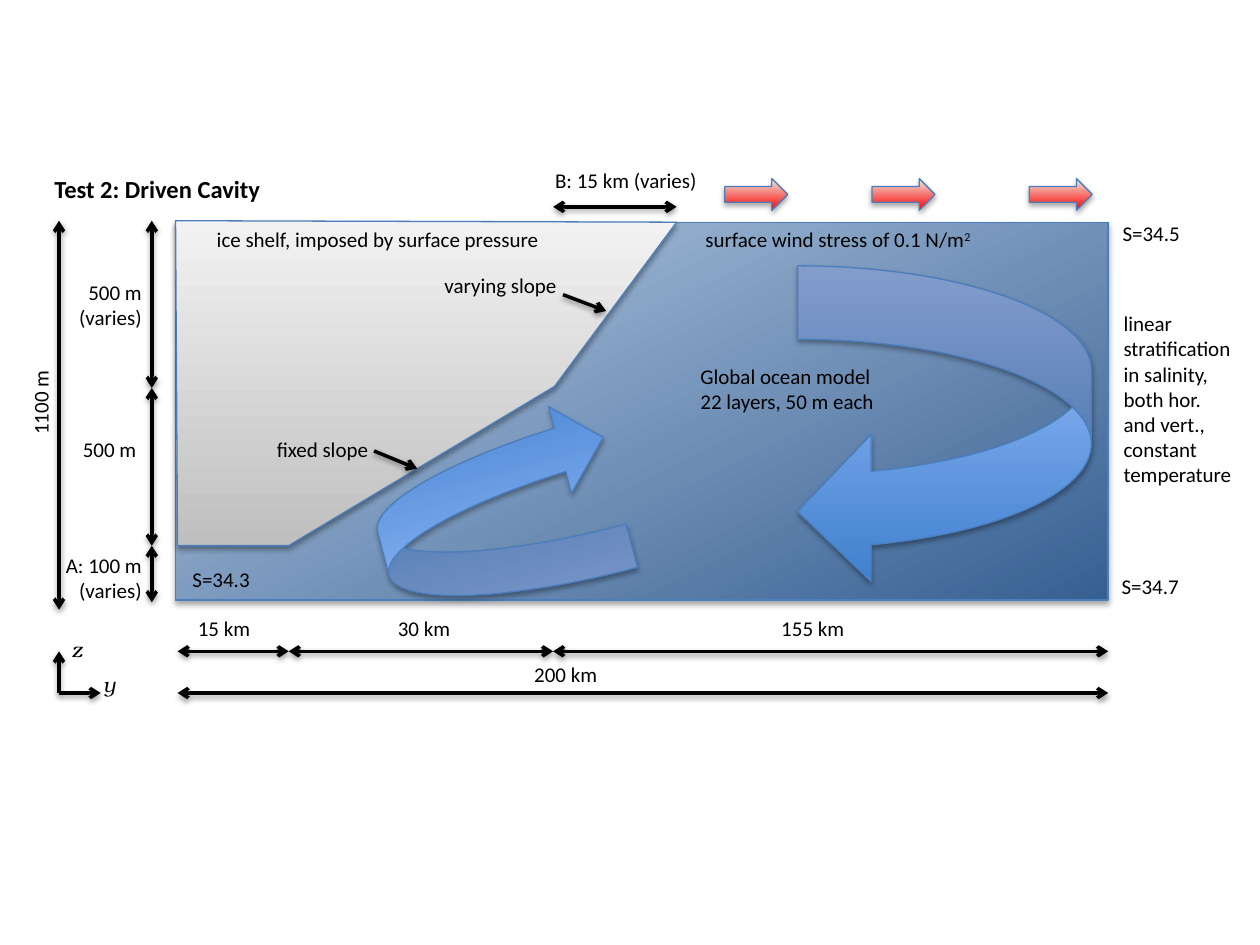
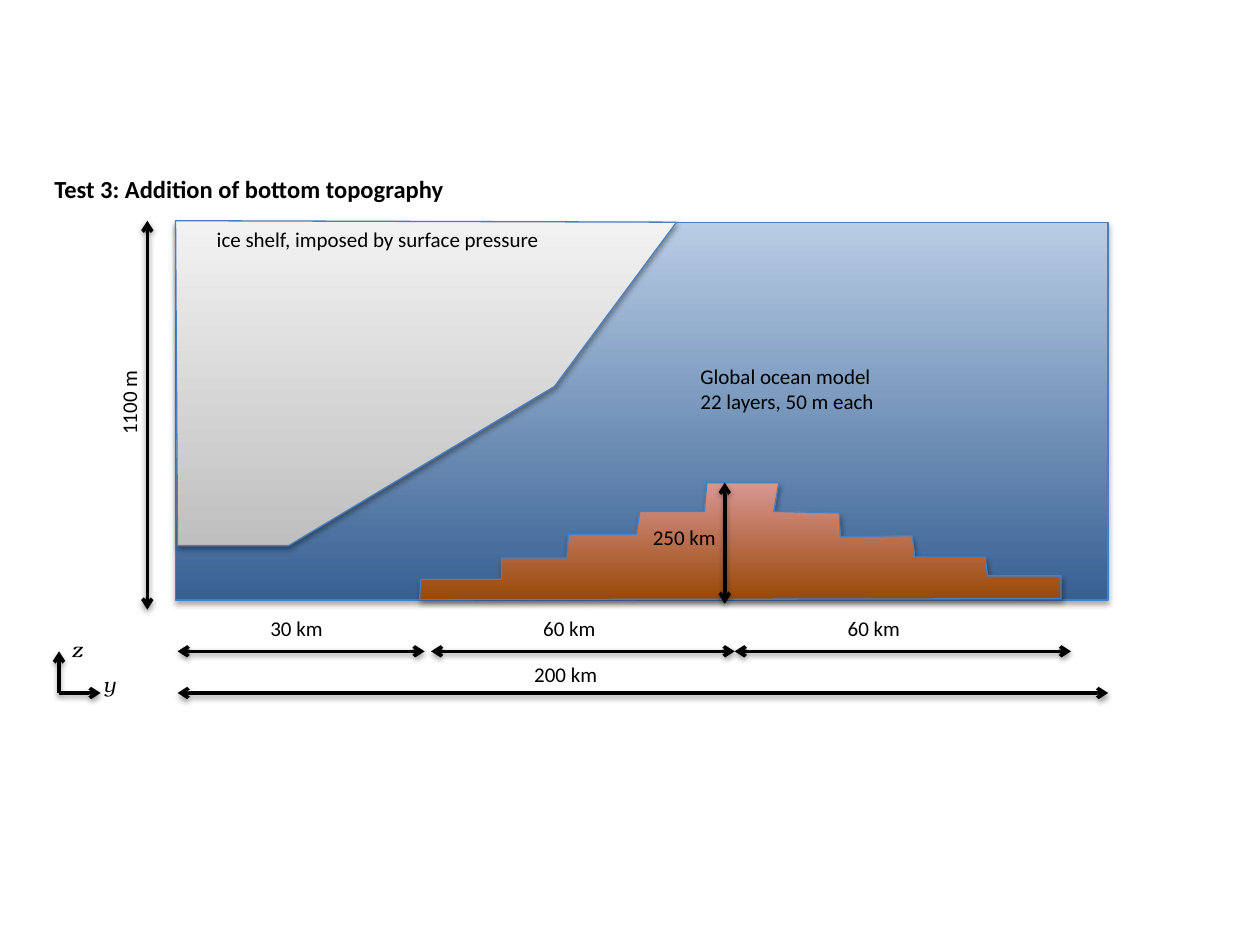
from lxml import etree
from pptx import Presentation
from pptx.dml.color import RGBColor
from pptx.enum.shapes import MSO_CONNECTOR, MSO_SHAPE
from pptx.enum.text import MSO_ANCHOR, MSO_AUTO_SIZE, PP_ALIGN
from pptx.oxml.ns import qn
from pptx.util import Cm, Pt

COLORS = {
    "ink": "000000", "outline": "4B7EBC",
    "deep": "376092", "shallow": "B9CDE5",
    "ice_low": "BFBFBF", "ice_high": "F2F2F2",
    "wind": "FF0000", "wind_light": "EEECE1",
    "flow": "3F80CE", "flow_light": "A4C4FF",
    "rock": "984807", "rock_light": "D99694",
}
FONT, MATH_FONT = "Calibri", "TeX Gyre Bonum"
LEFT, RIGHT = PP_ALIGN.LEFT, PP_ALIGN.RIGHT

# Section geometry in cm
X0, X1, TOP, BOTTOM = 3.54, 22.34, 4.48, 12.1
SPAN_Y, TOTAL_Y, AXIS_X = 13.13, 13.97, 1.19
NARROW = 3.45  # labels up to this width do not wrap

ICE = [(X0, 4.45), (3.58, 11), (5.82, 11), (11.18, 7.79), (13.64, TOP)]
ROCK = [(8.46, 12.09), (8.48, 11.68), (10.11, 11.68), (10.11, 11.25),
        (11.43, 11.25), (11.46, 10.77), (12.83, 10.77), (12.9, 10.31),
        (14.2, 10.31), (14.25, 9.73), (15.7, 9.73), (15.6, 10.31),
        (16.92, 10.34), (16.94, 10.82), (18.39, 10.8), (18.44, 11.23),
        (19.86, 11.23), (19.91, 11.61), (21.39, 11.61), (21.39, 12.07)]

# Arrows: x1, y1, x2, y2, double-headed
AXES = [(AXIS_X, TOTAL_Y, AXIS_X, SPAN_Y, False),
        (AXIS_X, TOTAL_Y, 2.03, TOTAL_Y, False)]
TOTAL = (3.58, TOTAL_Y, X1, TOTAL_Y, True)

# Labels: text, x, y, width, alignment
SHARED_LABELS = [
    ("200 km", 10.52, 13.21, 1.8, LEFT),
    ("ice shelf, imposed by surface pressure", 4.12, 4.45, 8.71, LEFT),
    ("Global ocean model\n22 layers, 50 m each", 13.87, 7.2, 4.9, LEFT),
    ("y", 1.83, 13.41, 0.89, LEFT),
    ("z", 1.19, 12.7, 0.84, LEFT),
]

# Slide contents; shapes: kind, x, y, width, height, dark, light, rotation
tests = [
    {
        "title": "Test 2: Driven Cavity",
        "ocean_angle": 116,
        "height_x": AXIS_X,
        "outlines": [],
        "shapes": [(MSO_SHAPE.RIGHT_ARROW, x, 3.6, 1.27, 0.64,
                    "wind", "wind_light", 0) for x in (14.61, 17.58, 20.75)] + [
            (MSO_SHAPE.CURVED_LEFT_ARROW, 16.08, 5.36, 5.92, 6.43,
             "flow", "flow_light", 0),
            (MSO_SHAPE.CURVED_RIGHT_ARROW, 7.59, 8.51, 4.88, 3.61,
             "flow", "flow_light", 345.2),
        ],
        "spans": [(3.58, 5.82), (5.82, 11.15), (11.15, X1)],
        "arrows": [
            (3.06, 12.14, 3.06, 11, True), (3.06, 11, 3.06, 7.82, True),
            (3.06, 7.82, 3.06, 4.45, True), (11.15, 4.17, 13.64, 4.17, True),
            (7.54, 9.09, 8.41, 9.45, False), (11.35, 5.94, 12.22, 6.27, False),
        ],
        "labels": [
            ("15 km", 3.74, 12.28, 1.57, LEFT),
            ("30 km", 7.77, 12.28, 1.57, LEFT),
            ("155 km", 15.5, 12.28, 1.8, LEFT),
            ("A: 100 m\n(varies)", 1.03, 11.01, 2.08, RIGHT),
            ("500 m", 1.42, 8.68, 1.6, LEFT),
            ("500 m\n(varies)", 1.31, 5.51, 1.8, RIGHT),
            ("linear\nstratification\nin salinity,\nboth hor.\nand vert.,\n"
             "constant\ntemperature", 22.4, 6.14, 2.74, LEFT),
            ("S=34.5", 22.38, 4.32, 1.68, LEFT),
            ("S=34.7", 22.36, 11.43, 1.68, LEFT),
            ("S=34.3", 3.63, 11.3, 1.68, LEFT),
            ("fixed slope", 5.33, 8.67, 3.51, LEFT),
            ("varying slope", 8.71, 5.36, 3.51, LEFT),
            ("B: 15 km (varies)", 10.94, 3.25, 3.4, LEFT),
            ("surface wind stress of 0.1 N/m^2", 13.97, 4.45, 8.71, LEFT),
        ],
    },
    {
        "title": "Test 3: Addition of bottom topography",
        "ocean_angle": 90,
        "height_x": 2.97,
        "outlines": [(ROCK, "rock", "rock_light")],
        "shapes": [],
        "spans": [(3.58, 8.56), (8.69, 14.81), (14.81, 21.59)],
        "arrows": [(14.61, 12.17, 14.61, 9.73, True)],
        "labels": [
            ("30 km", 5.2, 12.28, 1.57, LEFT),
            ("60 km", 10.7, 12.28, 1.57, LEFT),
            ("60 km", 16.84, 12.28, 1.57, LEFT),
            ("250 km", 12.91, 10.44, 1.8, LEFT),
        ],
    },
]


def rgb(name):
    return RGBColor.from_string(COLORS[name])


def paint(shape, dark, light, angle=90):
    """Gradient from dark (below) to light; the theme's soft shadow stays."""
    shape.fill.gradient()
    shape.fill.gradient_angle = angle
    for stop, name in zip(shape.fill.gradient_stops, (dark, light)):
        stop.color.rgb = rgb(name)
    shape.line.color.rgb = rgb("outline")
    shape.line.width = Pt(0.75)


prs = Presentation()
prs.slide_width, prs.slide_height = Cm(25.4), Cm(19.05)

for test in tests:
    s = prs.slides.add_slide(prs.slide_layouts[5])

    # Title
    title = s.shapes.title
    title.left, title.top, title.width, title.height = (
        Cm(0.84), Cm(3.38), Cm(8.71), Cm(0.86))
    tf = title.text_frame
    tf.text = test["title"]
    tf.vertical_anchor = MSO_ANCHOR.TOP
    tf.auto_size = MSO_AUTO_SIZE.NONE
    p = tf.paragraphs[0]
    p.alignment = LEFT
    p.font.name, p.font.size, p.font.bold = FONT, Pt(14), True
    p.font.color.rgb = rgb("ink")

    # Ocean
    ocean = s.shapes.add_shape(MSO_SHAPE.RECTANGLE, Cm(X0), Cm(TOP),
                               Cm(X1 - X0), Cm(BOTTOM - TOP))
    paint(ocean, "deep", "shallow", test["ocean_angle"])

    # Ice shelf and sea floor
    for points, dark, light in [(ICE, "ice_low", "ice_high")] + test["outlines"]:
        points = [(Cm(x), Cm(y)) for x, y in points]
        builder = s.shapes.build_freeform(*points[0])
        builder.add_line_segments(points[1:], close=True)
        paint(builder.convert_to_shape(), dark, light)

    # Wind and circulation
    for kind, x, y, w, h, dark, light, rotation in test["shapes"]:
        sp = s.shapes.add_shape(kind, Cm(x), Cm(y), Cm(w), Cm(h))
        paint(sp, dark, light)
        sp.rotation = rotation
        if kind == MSO_SHAPE.CURVED_RIGHT_ARROW:
            sp._element.spPr.xfrm.set("flipV", "1")

    # Dimension arrows, pointers and axes
    height = (test["height_x"], 12.29, test["height_x"], 4.45, True)
    spans = [(a, SPAN_Y, b, SPAN_Y, True) for a, b in test["spans"]]
    for x1, y1, x2, y2, double in spans + test["arrows"] + [height, TOTAL] + AXES:
        line = s.shapes.add_connector(MSO_CONNECTOR.STRAIGHT,
                                      Cm(x1), Cm(y1), Cm(x2), Cm(y2))
        line.line.color.rgb = rgb("ink")
        line.line.width = Pt(2)
        ln = line._element.spPr.find(qn("a:ln"))
        for end in ("a:headEnd", "a:tailEnd") if double else ("a:tailEnd",):
            etree.SubElement(ln, qn(end), type="arrow")

    # Labels
    depth = ("1100 m", test["height_x"] - 1.29, 7.72, 1.83, LEFT)
    for text, x, y, w, align in SHARED_LABELS + test["labels"] + [depth]:
        lines = text.split("\n")
        box = s.shapes.add_textbox(Cm(x), Cm(y), Cm(w),
                                   Cm(0.25 + 0.51 * len(lines)))
        if text == "1100 m":
            box.rotation = 270
        tf = box.text_frame
        tf.word_wrap = w > NARROW
        tf.auto_size = MSO_AUTO_SIZE.SHAPE_TO_FIT_TEXT
        for i, content in enumerate(lines):
            p = tf.add_paragraph() if i else tf.paragraphs[0]
            p.alignment = align
            base, _, power = content.partition("^")
            p.add_run().text = base
            if power:
                r = p.add_run()
                r.text = power
                r.font._element.set("baseline", "30000")
            p.font.name, p.font.size = FONT, Pt(12)
            p.font.color.rgb = rgb("ink")
            if text in ("y", "z"):
                p.font.name, p.font.italic = MATH_FONT, True

prs.save("out.pptx")
